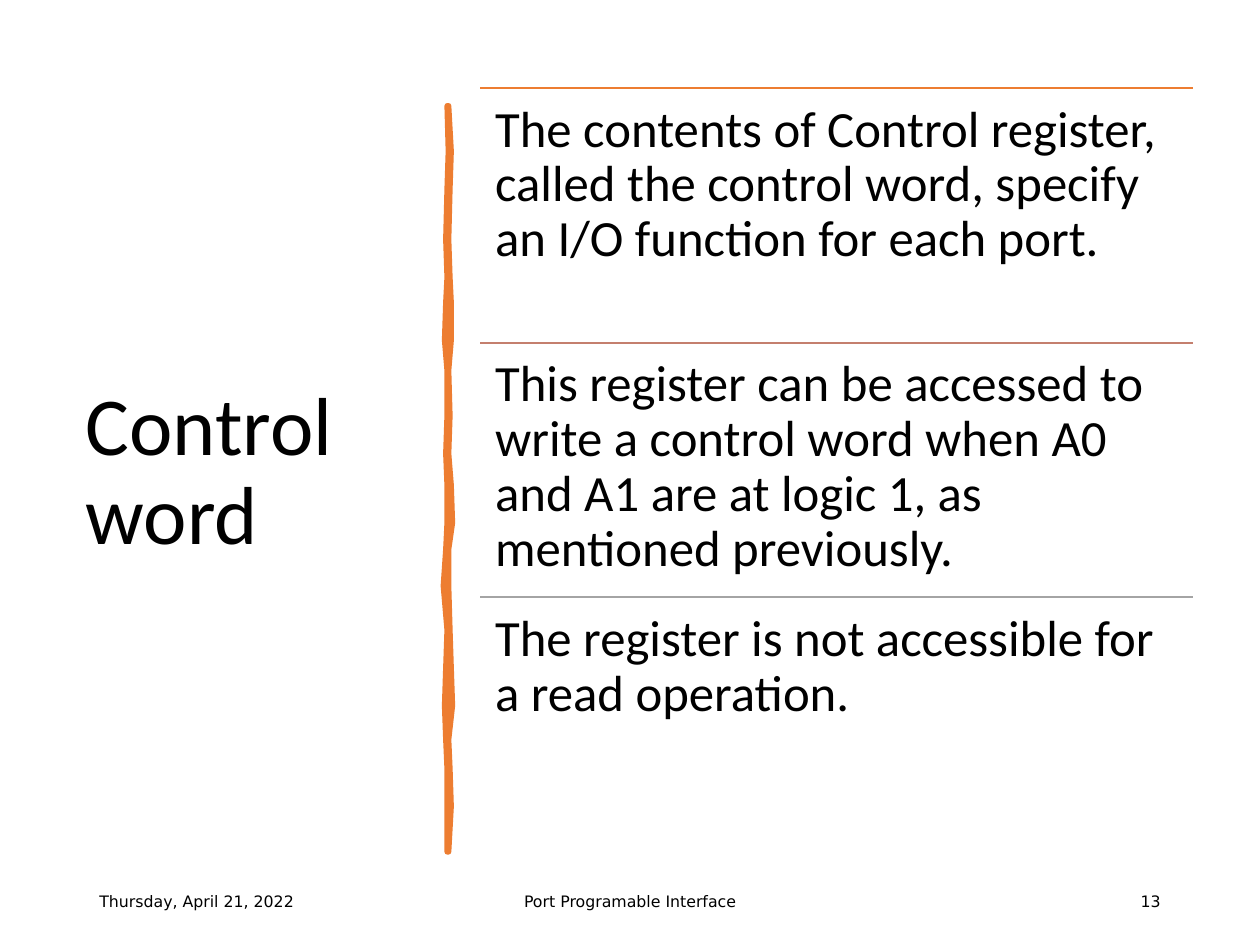
"""Build the "Control word" slide: a title, a hand-drawn divider and three ruled statements."""
from lxml.etree import SubElement
from pptx import Presentation
from pptx.dml.color import RGBColor
from pptx.enum.shapes import MSO_CONNECTOR
from pptx.enum.text import MSO_ANCHOR, PP_ALIGN
from pptx.oxml.ns import qn
from pptx.util import Inches, Pt

BLACK = RGBColor(0x00, 0x00, 0x00)
ORANGE = RGBColor(0xED, 0x7D, 0x31)
ROSE = RGBColor(0xC4, 0x7F, 0x6E)
GRAY = RGBColor(0xA4, 0xA4, 0xA4)

TITLE = "Control word"
STATEMENTS = [
    ("The contents of Control register, called the control word, "
     "specify an I/O function for each port.", ORANGE),
    ("This register can be accessed to write a control word when A0 and A1 "
     "are at logic 1, as mentioned previously.", ROSE),
    ("The register is not accessible for a read operation.", GRAY),
]
FOOTERS = [
    ("Thursday, April 21, 2022", 0.69, 2.25, PP_ALIGN.LEFT),
    ("Port Programable Interface", 3.31, 3.38, PP_ALIGN.CENTER),
    ("13", 7.06, 2.25, PP_ALIGN.RIGHT),
]
DIVIDER_EDGES = [
    (0.84, 3.55, 3.56), (1.2, 3.56, 3.58), (1.5, 3.55, 3.57), (1.9, 3.54, 3.56),
    (2.2, 3.55, 3.57), (2.4, 3.54, 3.58), (2.7, 3.53, 3.58), (2.94, 3.55, 3.56),
    (3.3, 3.55, 3.57), (3.6, 3.54, 3.56), (3.85, 3.55, 3.58), (4.15, 3.55, 3.59),
    (4.36, 3.54, 3.56), (4.65, 3.52, 3.56), (5.0, 3.55, 3.57), (5.3, 3.54, 3.58),
    (5.6, 3.53, 3.59), (5.87, 3.54, 3.56), (6.1, 3.55, 3.57), (6.4, 3.55, 3.58),
    (6.76, 3.55, 3.56),
]

CONTENT_TOP = 0.7
LIST_LEFT, LIST_WIDTH, ROW_HEIGHT = 3.81, 5.66, 2.02


def add_text(page, text, place, font, size, insets, anchor=MSO_ANCHOR.TOP,
             align=PP_ALIGN.LEFT, spacing=1.0):
    box = page.shapes.add_textbox(*map(Inches, place))
    frame = box.text_frame
    frame.word_wrap = True
    frame.vertical_anchor = anchor
    frame.margin_left, frame.margin_top, frame.margin_right, frame.margin_bottom = map(
        Inches, insets)
    para = frame.paragraphs[0]
    para.alignment = align
    para.line_spacing = spacing
    span = para.add_run()
    span.text = text
    span.font.name = font
    span.font.size = Pt(size)
    span.font.color.rgb = BLACK


def add_rule(page, top, color):
    rule = page.shapes.add_connector(
        MSO_CONNECTOR.STRAIGHT, Inches(LIST_LEFT), Inches(top),
        Inches(LIST_LEFT + LIST_WIDTH), Inches(top))
    rule.line.color.rgb = color
    rule.line.width = Pt(1)
    SubElement(rule._element.spPr, qn("a:effectLst"))


def add_divider(page):
    right_edge = [(Inches(right), Inches(y)) for y, _, right in DIVIDER_EDGES]
    left_edge = [(Inches(left), Inches(y)) for y, left, _ in reversed(DIVIDER_EDGES)]
    builder = page.shapes.build_freeform(*right_edge[0])
    builder.add_line_segments(right_edge[1:] + left_edge, close=True)
    divider = builder.convert_to_shape()
    divider.shadow.inherit = False
    divider.fill.solid()
    divider.fill.fore_color.rgb = ORANGE
    divider.line.color.rgb = ORANGE
    divider.line.width = Pt(3.25)
    SubElement(divider.line._get_or_add_ln(), qn("a:round"))


def main():
    deck = Presentation()
    deck.slide_width, deck.slide_height = Inches(10), Inches(7.5)
    page = deck.slides.add_slide(deck.slide_layouts[6])

    add_text(page, TITLE, (0.52, CONTENT_TOP, 2.8, 6.11), "Calibri", 47,
             (0.16, 0.05, 0.1, 0.05), MSO_ANCHOR.MIDDLE, spacing=0.9)
    add_divider(page)
    for text, left, width, align in FOOTERS:
        add_text(page, text, (left, 6.95, width, 0.4), "DejaVu Sans", 9,
                 (0.1, 0.05, 0.1, 0.05), MSO_ANCHOR.MIDDLE, align)
    for row, (text, color) in enumerate(STATEMENTS):
        top = CONTENT_TOP + row * ROW_HEIGHT
        add_rule(page, top, color)
        add_text(page, text, (LIST_LEFT, top, LIST_WIDTH, ROW_HEIGHT), "Calibri", 29,
                 (0.12,) * 4, spacing=0.9)

    deck.save("out.pptx")


if __name__ == "__main__":
    main()
